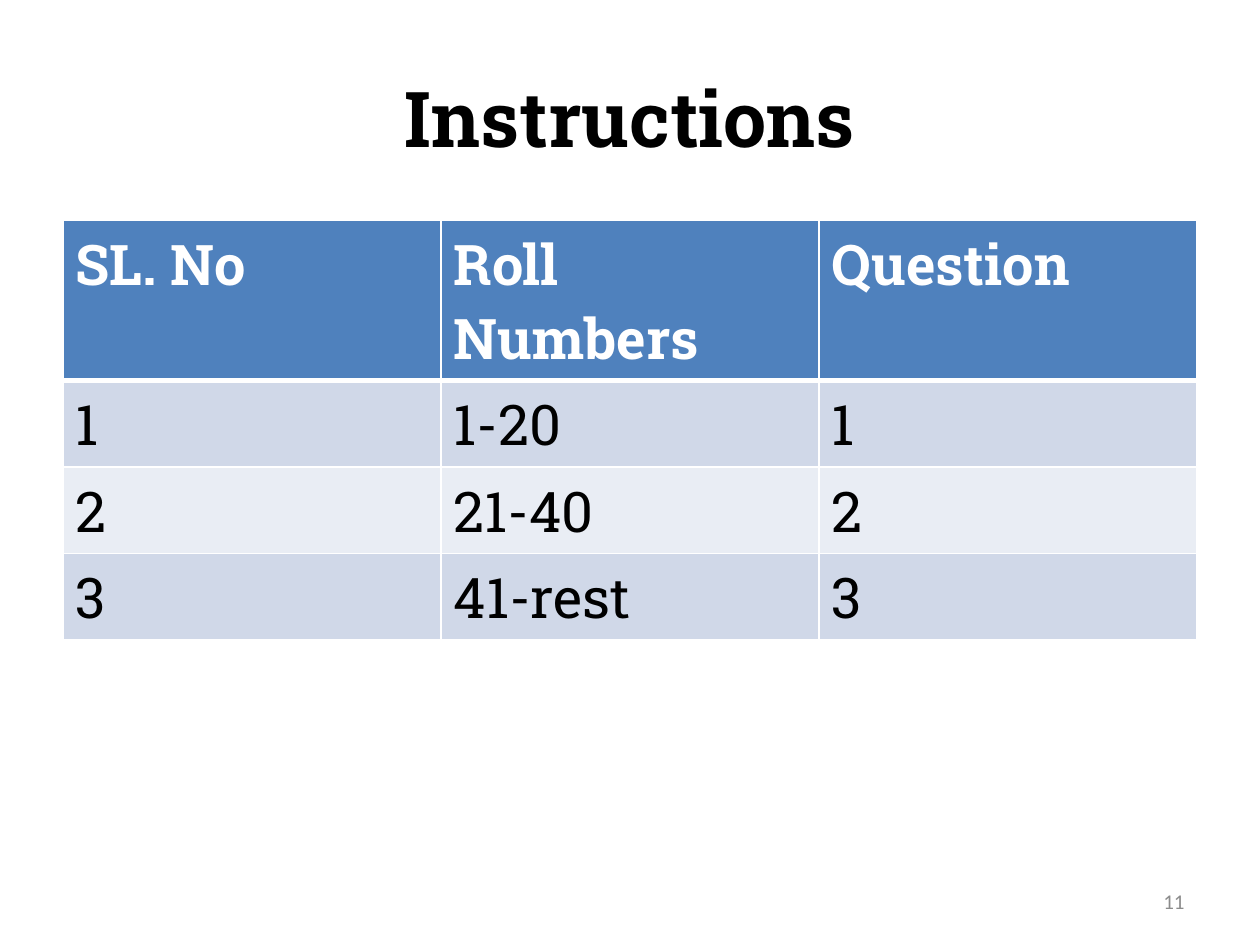
from dataclasses import dataclass

from lxml.etree import SubElement
from pptx import Presentation
from pptx.dml.color import RGBColor
from pptx.enum.text import MSO_ANCHOR, PP_ALIGN
from pptx.oxml.ns import qn
from pptx.util import Cm, Pt


@dataclass(frozen=True)
class Theme:
    """Colours, fonts and type sizes of the slide."""
    text: str = "000000"
    white: str = "FFFFFF"
    header: str = "4F81BD"
    bands: tuple = ("D0D8E8", "E9EDF4")
    muted: str = "8C8C8C"
    slab: str = "Roboto Slab"
    sans: str = "Calibri"
    title_size: int = 44
    table_size: int = 32
    number_size: int = 12


@dataclass(frozen=True)
class Box:
    """A region of the slide in centimetres."""
    left: float
    top: float
    width: float
    height: float

    def lengths(self):
        """Return the four sides as slide lengths."""
        return Cm(self.left), Cm(self.top), Cm(self.width), Cm(self.height)


THEME = Theme()
ROWS = (
    ("SL. No", "Roll Numbers", "Question"),
    ("1", "1-20", "1"),
    ("2", "21-40", "2"),
    ("3", "41-rest", "3"),
)


def add_span(para, text, font, size, colour, bold=False):
    """Add one formatted run to a paragraph."""
    span = para.add_run()
    span.text = text
    span.font.name = font
    span.font.size = Pt(size)
    span.font.bold = bold
    span.font.color.rgb = RGBColor.from_string(colour)


def add_label(page, box, alignment, text, **style):
    """Place one vertically centred line of text in a box."""
    frame = page.shapes.add_textbox(*box.lengths()).text_frame
    frame.word_wrap = True
    frame.vertical_anchor = MSO_ANCHOR.MIDDLE
    para = frame.paragraphs[0]
    para.alignment = alignment
    add_span(para, text, **style)


def set_borders(cell, widths):
    """Draw white borders, given a width in points for each side."""
    properties = cell._tc.get_or_add_tcPr()
    for side, width in widths.items():
        line = SubElement(properties, qn(f"a:ln{side}"), w=str(Pt(width)))
        fill = SubElement(line, qn("a:solidFill"))
        SubElement(fill, qn("a:srgbClr"), val=THEME.white)


def add_roll_table(page, box, header_height):
    """Place the table of roll numbers and questions in a box."""
    table = page.shapes.add_table(len(ROWS), len(ROWS[0]), *box.lengths()).table
    body_height = (box.height - header_height) / (len(ROWS) - 1)
    for column in table.columns:
        column.width = Cm(box.width / len(ROWS[0]))
    for row, values in enumerate(ROWS):
        is_header = row == 0
        table.rows[row].height = Cm(header_height if is_header else body_height)
        fill = THEME.header if is_header else THEME.bands[(row - 1) % 2]
        colour = THEME.white if is_header else THEME.text
        for column, text in enumerate(values):
            cell = table.cell(row, column)
            set_borders(cell, {"L": 1, "R": 1, "T": 3 if row == 1 else 1,
                               "B": 3 if is_header else 1})
            cell.fill.solid()
            cell.fill.fore_color.rgb = RGBColor.from_string(fill)
            add_span(cell.text_frame.paragraphs[0], text, THEME.slab,
                     THEME.table_size, colour, is_header)


def add_instructions_page(deck):
    """Build the instructions slide."""
    page = deck.slides.add_slide(deck.slide_layouts[6])
    add_label(page, Box(1.27, 0.76, 22.86, 3.18), PP_ALIGN.CENTER, "Instructions",
              font=THEME.slab, size=THEME.title_size, colour=THEME.text, bold=True)
    add_roll_table(page, Box(1.27, 4.45, 22.86, 8.45), header_height=3.22)
    add_label(page, Box(18.2, 17.65, 5.93, 1.02), PP_ALIGN.RIGHT, "11",
              font=THEME.sans, size=THEME.number_size, colour=THEME.muted)


def main():
    """Create and save the deck."""
    deck = Presentation()
    deck.slide_width, deck.slide_height = Cm(25.4), Cm(19.05)
    add_instructions_page(deck)
    deck.save("out.pptx")


if __name__ == "__main__":
    main()
